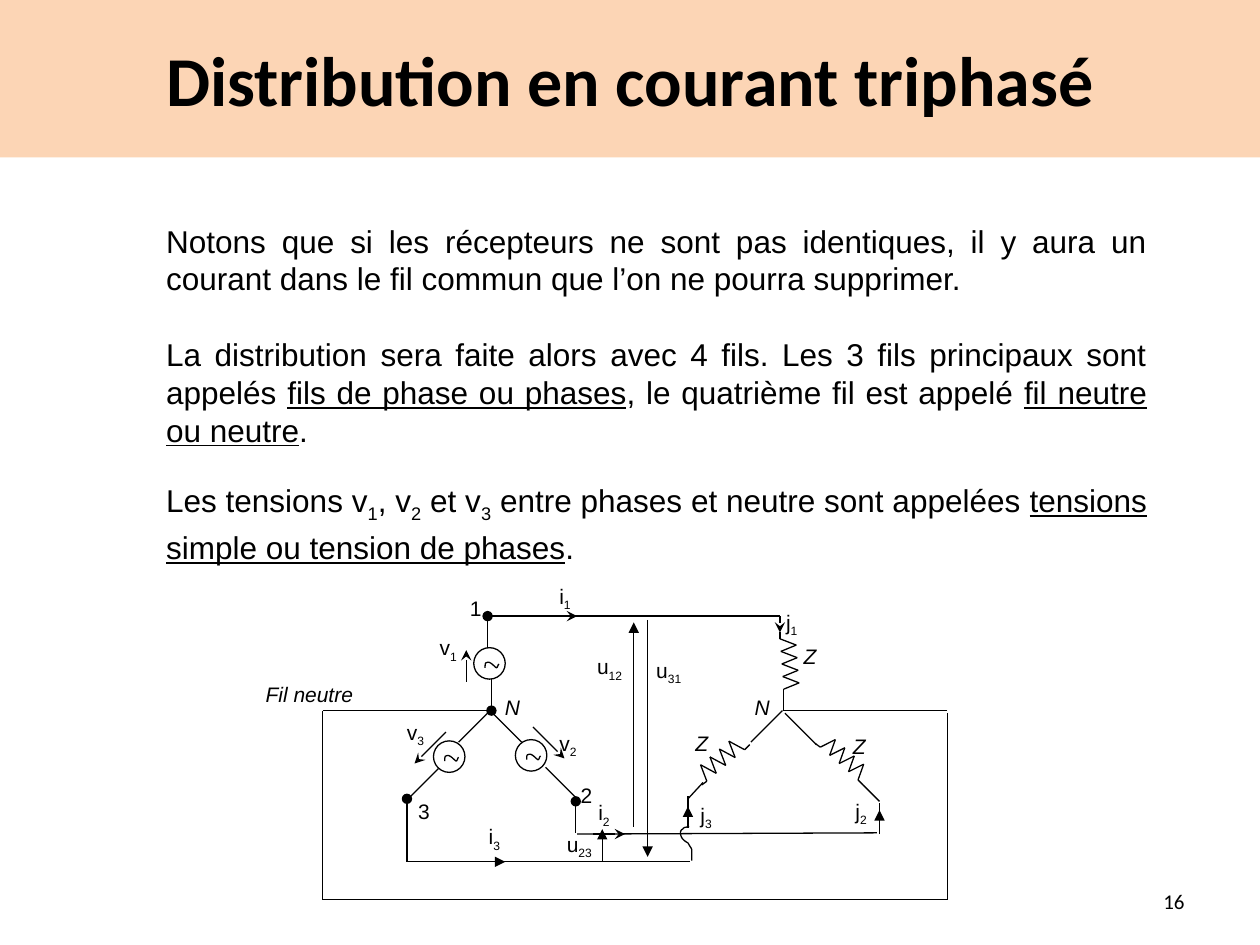
"""Build the slide on three-phase distribution with its four-wire diagram."""
from itertools import pairwise

from lxml.etree import SubElement
from pptx import Presentation
from pptx.dml.color import RGBColor
from pptx.enum.shapes import MSO_CONNECTOR, MSO_SHAPE
from pptx.enum.text import MSO_ANCHOR, PP_ALIGN
from pptx.oxml.ns import qn
from pptx.util import Inches, Pt

BLACK = RGBColor(0x00, 0x00, 0x00)
WHITE = RGBColor(0xFF, 0xFF, 0xFF)
PEACH = RGBColor(0xFC, 0xD5, 0xB5)
THIN = Pt(0.75)

prs = Presentation()
prs.slide_width, prs.slide_height = Inches(10), Inches(7.5)
COL, ROW = prs.slide_width // 1000, prs.slide_height // 750
s = prs.slides.add_slide(prs.slide_layouts[6])


def write(sp, paragraphs, size, font="Arial", align=PP_ALIGN.LEFT):
    tf = sp.text_frame
    tf.word_wrap = True
    for i, runs in enumerate(paragraphs):
        p = tf.paragraphs[0] if i == 0 else tf.add_paragraph()
        p.alignment = align
        for text, style in runs:
            r = p.add_run()
            r.text = text
            r.font.size, r.font.name = Pt(size), font
            r.font.color.rgb = BLACK
            if style == "sub":
                r.font._element.set("baseline", "-25000")
            elif style:
                setattr(r.font, style, True)
    return tf


def wire(start, end, head=None, tail=None):
    c = s.shapes.add_connector(
        MSO_CONNECTOR.STRAIGHT,
        round(start[0] * COL), round(start[1] * ROW),
        round(end[0] * COL), round(end[1] * ROW))
    c.line.color.rgb, c.line.width = BLACK, THIN
    spPr = c._element.spPr
    for tag, kind in (("a:headEnd", head), ("a:tailEnd", tail)):
        if kind:
            SubElement(spPr.find(qn("a:ln")), qn(tag), type=kind)
    SubElement(spPr, qn("a:effectLst"))


sp = s.shapes.add_textbox(122 * COL, 171 * ROW, 798 * COL, 283 * ROW)
tf = write(sp, [
    [("Notons que si les récepteurs ne sont pas identiques, il y aura un courant "
      "dans le fil commun que l’on ne pourra supprimer.", None)],
    [("La distribution sera faite alors avec 4 fils. Les 3 fils principaux sont appelés ", None),
     ("fils de phase ou phases", "underline"),
     (", le quatrième fil est appelé ", None),
     ("fil neutre ou neutre", "underline"), (".", None)],
    [("Les tensions v", None), ("1", "sub"), (", v", None), ("2", "sub"),
     (" et v", None), ("3", "sub"),
     (" entre phases et neutre sont appelées ", None),
     ("tensions simple ou tension de phases", "underline"), (".", None)],
], 18, align=PP_ALIGN.JUSTIFY)
for p, before, pitch in zip(tf.paragraphs, (0, 21.6, 19.2), (21.6, 21.6, 24)):
    p.space_before, p.line_spacing = Pt(before), Pt(pitch)

sp = s.shapes.add_shape(MSO_SHAPE.RECTANGLE, 0, 0, 1000 * COL, 125 * ROW)
sp.shadow.inherit = False
sp.fill.solid()
sp.fill.fore_color.rgb = PEACH
sp.line.fill.background()
tf = write(sp, [[("Distribution en courant triphasé", "bold")]], 40, "Calibri", PP_ALIGN.CENTER)
tf.vertical_anchor = MSO_ANCHOR.MIDDLE

sp = s.shapes.add_textbox(717 * COL, 695 * ROW, 233 * COL, 40 * ROW)
tf = write(sp, [[("16", None)]], 12, "Calibri", PP_ALIGN.RIGHT)
tf.vertical_anchor = MSO_ANCHOR.MIDDLE

SINE = [(9, 16), (9, 14), (9, 12), (10, 12), (13, 10), (17, 16), (18, 16),
        (19, 16), (19, 14), (20, 13)]
curves = [[(547, 656), (545, 657), (543, 656), (542, 658), (539, 659), (540, 664),
           (542, 666), (543, 667), (544, 668), (546, 669), (550, 676), (549, 671),
           (549, 683)]]
for x, y in [(376, 514), (409, 587), (344, 588)]:
    sp = s.shapes.add_shape(MSO_SHAPE.OVAL, x * COL, y * ROW, 25 * COL, 25 * ROW)
    sp.shadow.inherit = False
    sp.fill.solid()
    sp.fill.fore_color.rgb = WHITE
    sp.line.color.rgb, sp.line.width = BLACK, THIN
    curves.append([(x + dx, y + dy) for dx, dy in SINE])

for knots in curves:
    points = []
    for k in range(0, len(knots) - 1, 3):
        for t in (n / 8 for n in range(9)):
            weights = ((1 - t) ** 3, 3 * t * (1 - t) ** 2, 3 * t * t * (1 - t), t ** 3)
            x, y = (sum(w * q[axis] for w, q in zip(weights, knots[k:k + 4])) for axis in (0, 1))
            points.append((round(x * COL), round(y * ROW)))
    fb = s.shapes.build_freeform(*points[0])
    fb.add_line_segments(points[1:], close=False)
    sp = fb.convert_to_shape()
    sp.shadow.inherit = False
    sp.fill.background()
    sp.line.color.rgb, sp.line.width = BLACK, THIN

resistors = [
    ((619, 502), (619, 507), (0.75, 10), (13, 5), (622, 552)),
    ((647, 590), (651, 593), (7.5, 6.5), (12, -6), (685, 623)),
    ((557, 623), (561, 620), (7.5, -6.25), (-5, -13), (595, 591)),
]
for lead_in, (x, y), (dx, dy), (px, py), lead_out in resistors:
    zigzag = [lead_in]
    for n in range(5):
        low = (x + n * dx, y + n * dy)
        zigzag.append(low)
        if n < 4:
            zigzag.append((low[0] + px, low[1] + py))
    for start, end in pairwise(zigzag + [lead_out]):
        wire(start, end)

wires = [
    [(389, 564), (414, 589)], [(389, 564), (364, 589)], [(387, 514), (387, 489)],
    [(348, 610), (323, 635)], [(433, 609), (458, 634)],
    [(622, 552), (622, 564)], [(623, 566), (648, 591)], [(621, 564), (596, 589)],
    [(558, 621), (546, 634)], [(546, 632), (546, 657)],
    [(685, 623), (698, 636)], [(698, 662), (698, 637)],
    [(323, 684), (548, 684)], [(458, 662), (696, 661)],
    [(390, 564), (256, 564), (256, 714), (752, 714), (752, 566)],
    [(622, 564), (752, 564)],
]
for route in wires:
    for start, end in pairwise(route):
        wire(start, end)

for start, end in [((387, 489), (619, 489)), ((457, 636), (457, 661)),
                   ((323, 634), (323, 684))]:
    wire(start, end, head="oval")

arrows = {
    "oval": [((390, 539), (390, 564))],
    "stealth": [((619, 489), (619, 502)), ((421, 489), (458, 489)),
                ((370, 541), (370, 516)), ((354, 581), (329, 606)),
                ((423, 577), (448, 602)), ((471, 662), (496, 662))],
    "triangle": [((503, 656), (503, 494)), ((514, 492), (514, 680)),
                 ((351, 684), (401, 684)), ((478, 683), (478, 658)),
                 ((546, 652), (546, 640)), ((698, 655), (698, 643))],
}
for kind, ends in arrows.items():
    for start, end in ends:
        wire(start, end, tail=kind)

labels = [
    ("v", "1", 339, 499, 38), ("v", "2", 434, 575, 38), ("v", "3", 313, 566, 38),
    ("i", "1", 434, 458, 38), ("i", "2", 465, 630, 38), ("i", "3", 378, 649, 38),
    ("j", "1", 614, 479, 38), ("j", "2", 669, 629, 38), ("j", "3", 546, 632, 38),
    ("u", "12", 464, 514, 55), ("u", "23", 440, 655, 55), ("u", "31", 511, 517, 55),
    ("1", "", 363, 468, 38), ("2", "", 451, 616, 38), ("3", "", 322, 629, 38),
    ("Z", "", 628, 506, 63), ("Z", "", 542, 575, 63), ("Z", "", 667, 577, 63),
    ("N", "", 391, 546, 63), ("N", "", 589, 546, 63), ("Fil neutre", "", 201, 536, 94),
]
for name, index, x, y, width in labels:
    sp = s.shapes.add_textbox(x * COL, y * ROW, width * COL, 37 * ROW)
    style = "italic" if name in ("Z", "N", "Fil neutre") else None
    write(sp, [[(name, style)] + ([(index, "sub")] if index else [])], 12)

prs.save("out.pptx")
